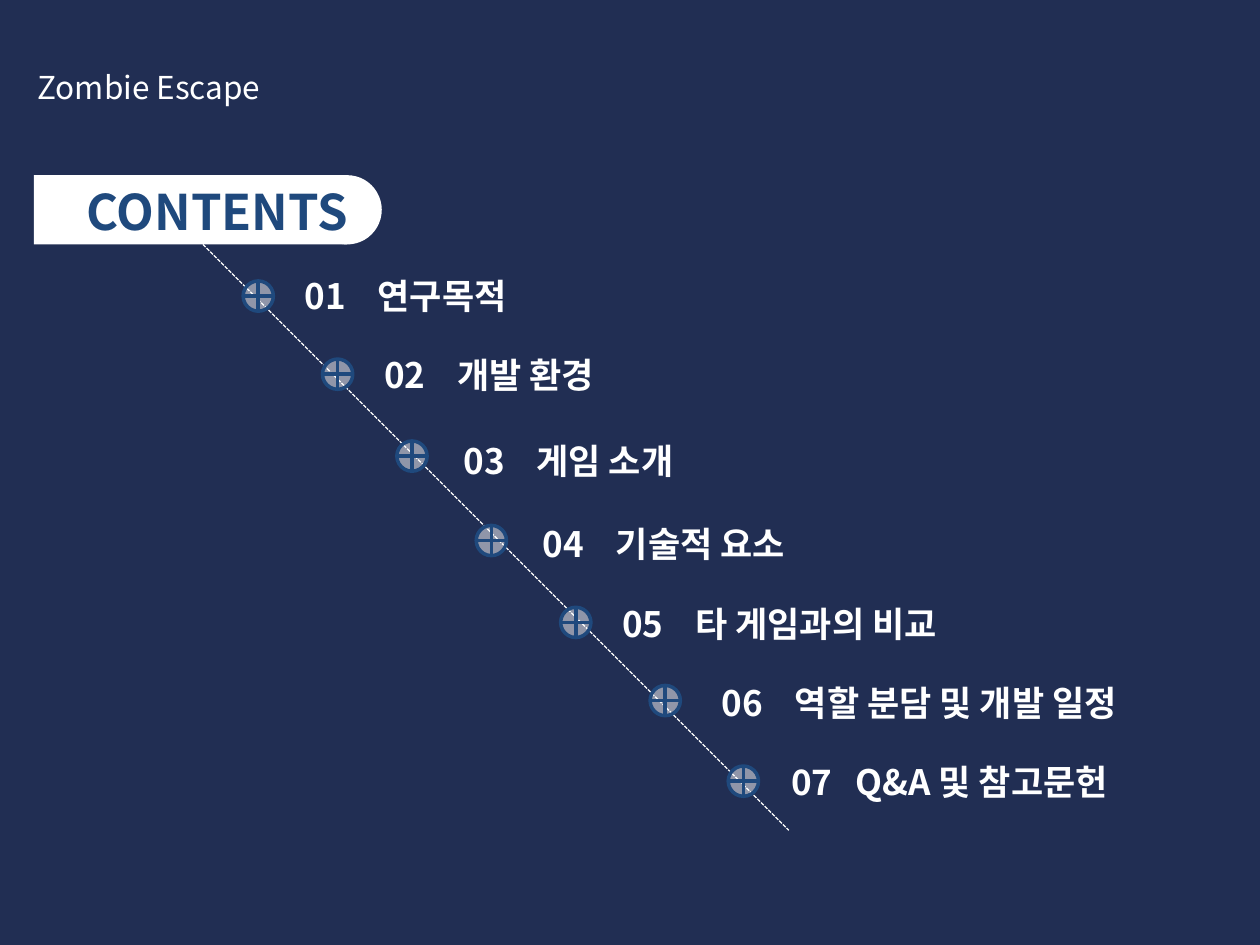
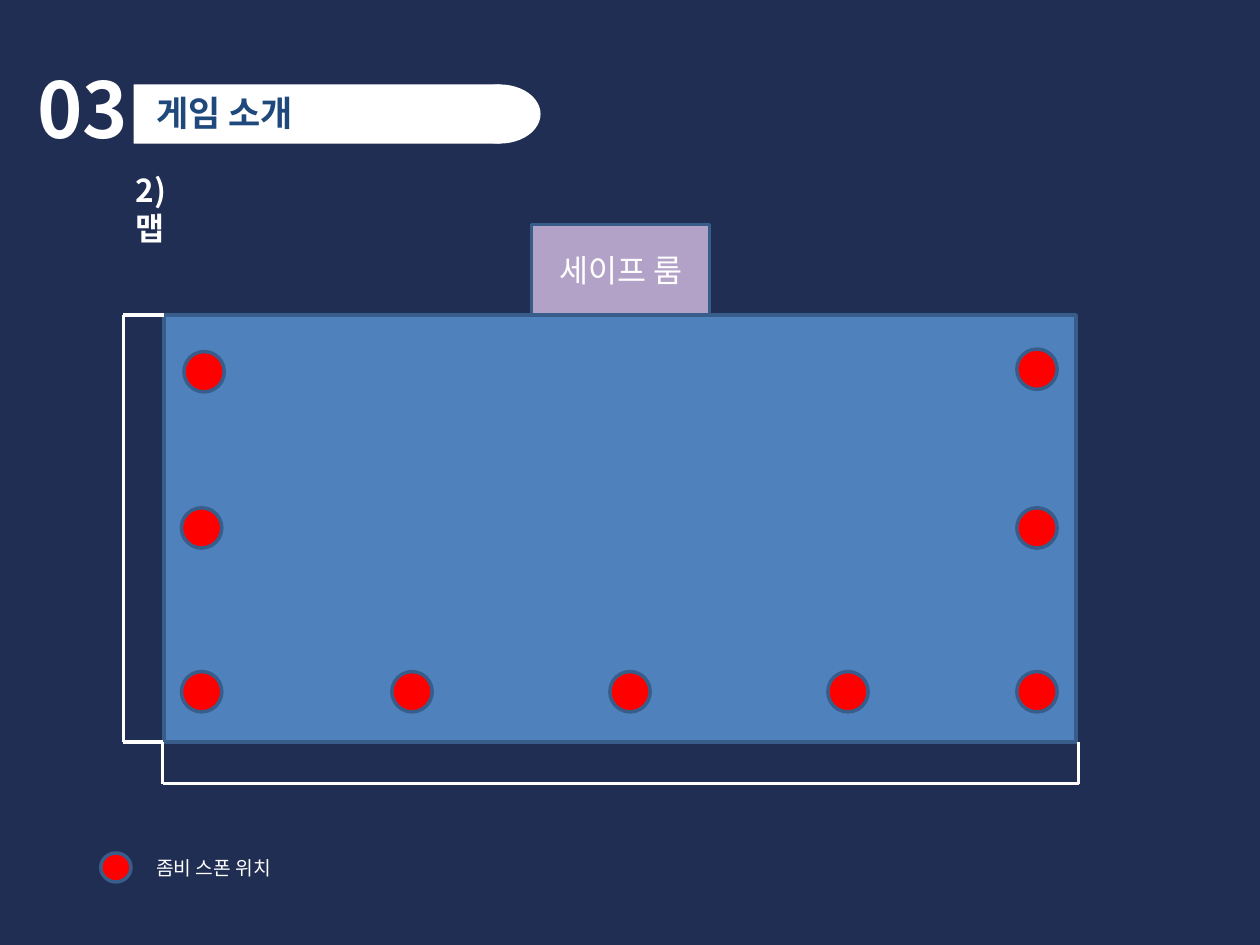
from itertools import pairwise

from lxml.etree import SubElement
from pptx import Presentation
from pptx.dml.color import RGBColor
from pptx.enum.dml import MSO_LINE_DASH_STYLE as Dash
from pptx.enum.shapes import MSO_CONNECTOR as Connector, MSO_SHAPE as Shape
from pptx.enum.text import MSO_ANCHOR as Anchor, PP_ALIGN as Align
from pptx.oxml.ns import qn
from pptx.util import Emu, Inches, Pt

WIDTH, HEIGHT = 10, 7.5
FONT = "Noto Sans CJK KR"
NAVY, BLUE, WHITE = "212E53", "1F497D", "FFFFFF"
FLOOR, WALL, ROOM, RED = "4F81BD", "385D8A", "B3A2C7", "FF0000"

# number, label, marker corner, text left, tab stop of the label
CONTENTS = [
    ("01", "연구목적", (1.93, 2.23), 2.32, 0.58),
    ("02", "개발 환경", (2.56, 2.85), 2.95, 0.58),
    ("03", "게임 소개", (3.15, 3.5), 3.58, 0.58),
    ("04", "기술적 요소", (3.78, 4.17), 4.21, 0.58),
    ("05", "타 게임과의 비교", (4.45, 4.82), 4.84, 0.58),
    ("06", "역할 분담 및 개발 일정", (5.16, 5.44), 5.63, 0.58),
    ("07", "Q&A 및 참고문헌", (5.78, 6.08), 6.18, 0.51),
]
ENTRY_TOPS = [2.13, 2.76, 3.44, 4.1, 4.73, 5.36, 5.99]
MARKER = 0.24

MAP = (1.3, 2.5, 7.24, 3.39)
SPAWN = 0.32
SPAWN_POINTS = [
    (1.46, 2.79), (1.44, 4.03),
    (8.07, 2.77), (8.07, 4.03),
    *((left, 5.33) for left in (1.44, 3.11, 4.84, 6.57, 8.07)),
]
BRACKETS = [
    [(1.3, 2.5), (0.98, 2.5), (0.98, 5.89), (1.29, 5.89)],
    [(1.29, 5.89), (1.29, 6.22), (8.56, 6.22), (8.56, 5.89)],
]


def color(hex_string):
    return RGBColor.from_string(hex_string)


def write(shape, text, size=18, fill=WHITE, bold=False, align=Align.LEFT,
          anchor=Anchor.TOP, tab=None):
    frame = shape.text_frame
    frame.word_wrap = True
    frame.vertical_anchor = anchor
    paragraph = frame.paragraphs[0]
    paragraph.alignment = align
    if tab:
        tabs = SubElement(paragraph._p.get_or_add_pPr(), qn("a:tabLst"))
        SubElement(tabs, qn("a:tab"), pos=str(Inches(tab)), algn="l")
    run = paragraph.add_run()
    run.text = text
    run.font.name, run.font.size, run.font.bold = FONT, Pt(size), bold
    run.font.color.rgb = color(fill)
    SubElement(run._r.get_or_add_rPr(), qn("a:ea"), typeface=FONT)


def add_text(slide, box, text, **style):
    write(slide.shapes.add_textbox(*map(Inches, box)), text, **style)


def add_shape(slide, kind, box, fill, line=None, opacity=None):
    shape = slide.shapes.add_shape(kind, *map(Inches, box))
    shape.shadow.inherit = False
    shape.fill.solid()
    shape.fill.fore_color.rgb = color(fill)
    if opacity:
        srgb = shape.fill._xPr.find(".//" + qn("a:srgbClr"))
        SubElement(srgb, qn("a:alpha"), val=str(opacity * 1000))
    if line:
        shape.line.color.rgb = color(line)
        shape.line.width = Pt(2)
    else:
        shape.line.fill.background()
    return shape


def add_line(slide, start, end, width=2, dash=None):
    line = slide.shapes.add_connector(Connector.STRAIGHT, *map(Inches, start + end))
    line.line.color.rgb = color(WHITE)
    line.line.width = Pt(width)
    if dash:
        line.line.dash_style = dash
    SubElement(line._element.spPr, qn("a:effectLst"))


def add_banner(slide, left, top, width, height, cap):
    """White bar whose right end is rounded by an ellipse of width cap."""
    add_shape(slide, Shape.RECTANGLE, (left, top, width - cap / 2, height), WHITE)
    add_shape(slide, Shape.OVAL, (left + width - cap, top, cap, height), WHITE)


def add_slide(presentation):
    slide = presentation.slides.add_slide(presentation.slide_layouts[6])
    slide.background.fill.solid()
    slide.background.fill.fore_color.rgb = color(NAVY)
    return slide


def build_contents(slide):
    add_text(slide, (0.2, 0.49, 6.77, 0.4), "Zombie Escape")
    add_banner(slide, 0.27, 1.39, 2.76, 0.55, cap=0.55)
    add_text(slide, (0.59, 1.39, 2.52, 0.57), "CONTENTS", size=28, fill=BLUE, bold=True)
    add_line(slide, (1.61, 1.94), (6.26, 6.59), width=0.75, dash=Dash.SQUARE_DOT)
    for (number, label, corner, left, tab), top in zip(CONTENTS, ENTRY_TOPS):
        add_shape(slide, Shape.FLOWCHART_OR, (*corner, MARKER, MARKER), WHITE,
                  line=BLUE, opacity=50)
        add_text(slide, (left, top, 4.1, 0.44), f"{number}\t{label}",
                 size=20, bold=True, tab=tab)


def build_map(slide):
    number, title = CONTENTS[2][:2]
    add_text(slide, (0.2, 0.44, 1.1, 0.84), number, size=44, bold=True)
    add_banner(slide, 1.06, 0.67, 3.23, 0.47, cap=0.65)
    add_text(slide, (1.14, 0.68, 2.92, 0.44), title, size=20, fill=BLUE, bold=True)
    add_text(slide, (0.98, 1.31, 0.65, 0.7), "2) 맵", bold=True)

    add_shape(slide, Shape.RECTANGLE, MAP, FLOOR, line=WALL)
    room = add_shape(slide, Shape.RECTANGLE, (4.22, 1.78, 1.41, 0.72), ROOM, line=WALL)
    write(room, "세이프 룸", align=Align.CENTER, anchor=Anchor.MIDDLE)
    for point in SPAWN_POINTS:
        add_shape(slide, Shape.OVAL, (*point, SPAWN, SPAWN), RED, line=WALL)

    add_shape(slide, Shape.OVAL, (0.8, 6.77, 0.24, 0.23), RED, line=WALL)
    add_text(slide, (1.14, 6.72, 1.65, 0.34), "좀비 스폰 위치", size=11, anchor=Anchor.MIDDLE)
    for corners in BRACKETS:
        for start, end in pairwise(corners):
            add_line(slide, start, end)


def main():
    presentation = Presentation()
    presentation.slide_width = Inches(WIDTH)
    presentation.slide_height = Inches(HEIGHT)
    for build in (build_contents, build_map):
        build(add_slide(presentation))
    presentation.save("out.pptx")


if __name__ == "__main__":
    main()
